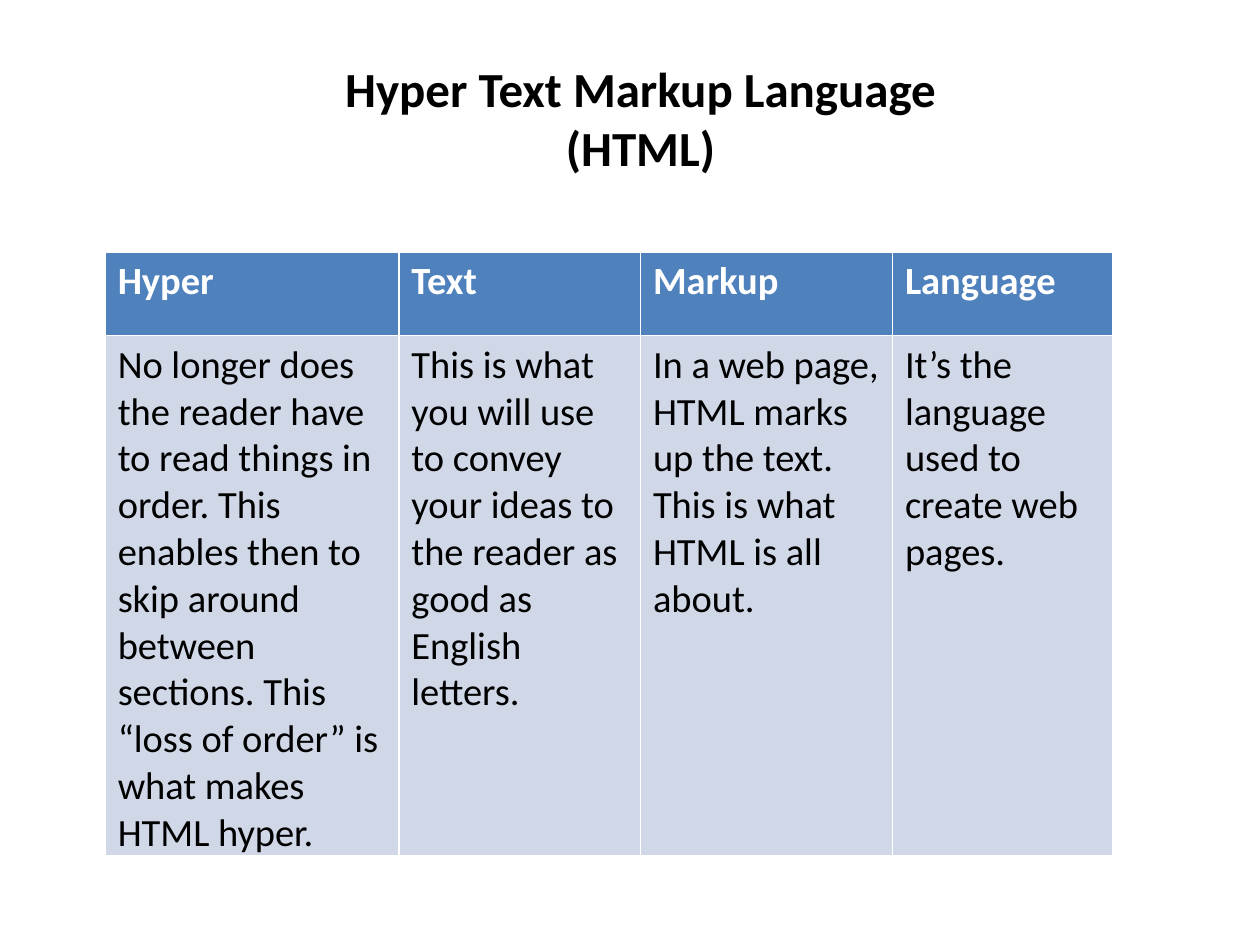
from dataclasses import dataclass

from pptx import Presentation
from pptx import util as u
from pptx.dml.color import RGBColor
from pptx.enum import text

BLACK = RGBColor(0x00, 0x00, 0x00)
WHITE = RGBColor(0xFF, 0xFF, 0xFF)
HEADER_BLUE = RGBColor(0x4F, 0x81, 0xBD)
BODY_BLUE = RGBColor(0xD0, 0xD8, 0xE8)
FONT = "Calibri"
HEADER_HEIGHT = u.Cm(1.68)
BODY_HEIGHT = u.Cm(10.49)


@dataclass
class Term:
    word: str
    meaning: str
    width: u.Length


TERMS = [
    Term(
        "Hyper",
        "No longer does the reader have to read things in order. "
        "This enables then to skip around between sections. "
        "This “loss of order” is what makes HTML hyper.",
        u.Cm(5.92),
    ),
    Term(
        "Text",
        "This is what you will use to convey your ideas to the reader "
        "as good as English letters.",
        u.Cm(4.87),
    ),
    Term(
        "Markup",
        "In a web page, HTML marks up the text. This is what HTML is all about.",
        u.Cm(5.08),
    ),
    Term("Language", "It’s the language used to create web pages.", u.Cm(4.45)),
]


def write(frame, words: str, *, size: int, color: RGBColor, bold: bool = False,
          align=text.PP_ALIGN.LEFT) -> None:
    para = frame.paragraphs[0]
    para.alignment = align
    span = para.add_run()
    span.text = words
    span.font.name = FONT
    span.font.size = u.Pt(size)
    span.font.bold = bold
    span.font.color.rgb = color


def fill_cell(cell, words: str, *, fill: RGBColor, color: RGBColor,
              bold: bool = False) -> None:
    cell.fill.solid()
    cell.fill.fore_color.rgb = fill
    write(cell.text_frame, words, size=22, color=color, bold=bold)


def add_title(page) -> None:
    box = page.shapes.title
    box.left, box.top = u.Cm(6.56), u.Cm(1.06)
    box.width, box.height = u.Cm(12.7), u.Cm(2.65)
    frame = box.text_frame
    frame.word_wrap = True
    frame.auto_size = text.MSO_AUTO_SIZE.SHAPE_TO_FIT_TEXT
    frame.vertical_anchor = text.MSO_ANCHOR.TOP
    write(frame, "Hyper Text Markup Language (HTML)", size=28, color=BLACK,
          bold=True, align=text.PP_ALIGN.CENTER)


def add_terms(page, terms: list[Term]) -> None:
    width = sum(term.width for term in terms)
    table = page.shapes.add_table(
        2, len(terms), u.Cm(2.12), u.Cm(5.08), width, HEADER_HEIGHT + BODY_HEIGHT
    ).table
    table.rows[0].height = HEADER_HEIGHT
    table.rows[1].height = BODY_HEIGHT
    for index, term in enumerate(terms):
        table.columns[index].width = term.width
        fill_cell(table.cell(0, index), term.word, fill=HEADER_BLUE,
                  color=WHITE, bold=True)
        fill_cell(table.cell(1, index), term.meaning, fill=BODY_BLUE, color=BLACK)


def main() -> None:
    deck = Presentation()
    deck.slide_width, deck.slide_height = u.Cm(25.4), u.Cm(19.05)
    page = deck.slides.add_slide(deck.slide_layouts.get_by_name("Title Only"))
    add_title(page)
    add_terms(page, TERMS)
    deck.save("out.pptx")


if __name__ == "__main__":
    main()
